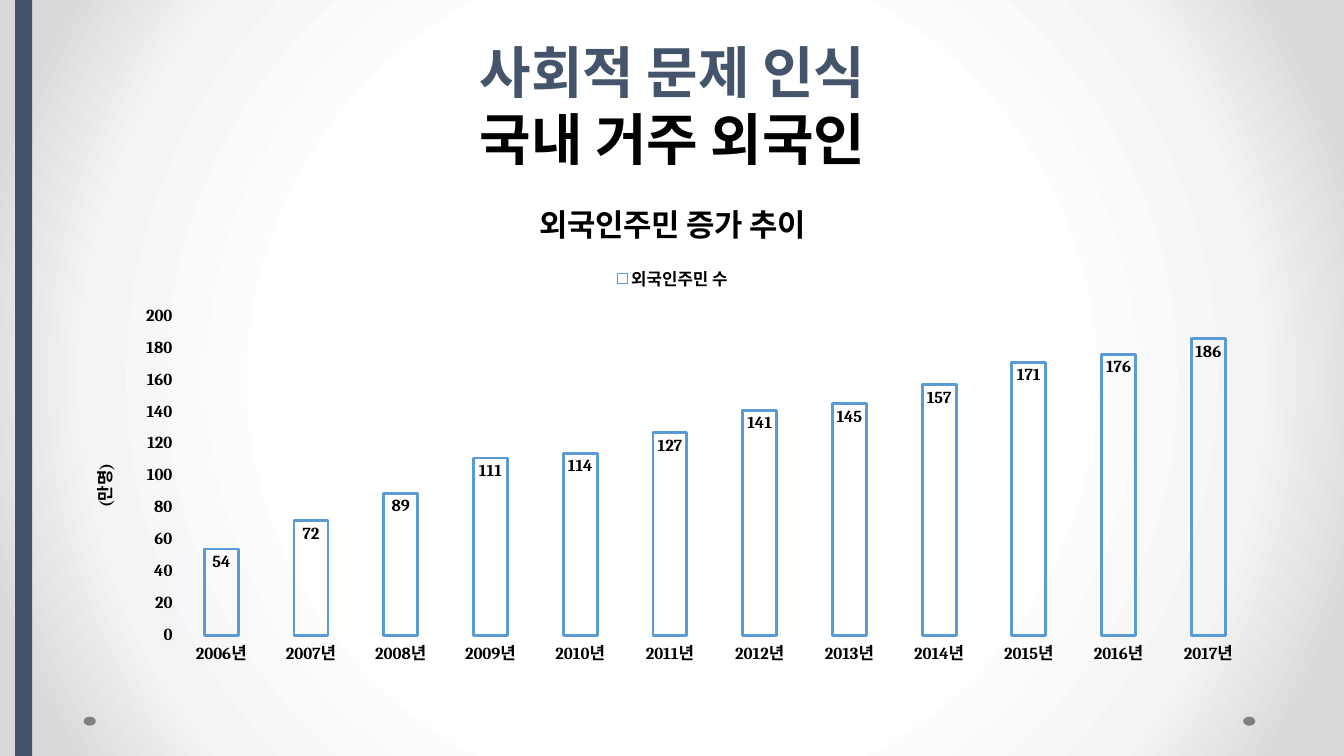
from dataclasses import dataclass

from lxml import etree
from pptx import Presentation
from pptx.chart.data import CategoryChartData
from pptx.dml.color import RGBColor
from pptx.enum.chart import XL_CHART_TYPE, XL_LABEL_POSITION, XL_LEGEND_POSITION, XL_TICK_MARK
from pptx.enum.shapes import MSO_SHAPE
from pptx.enum.text import MSO_ANCHOR, PP_ALIGN
from pptx.oxml import parse_xml
from pptx.oxml.ns import nsdecls, qn
from pptx.util import Inches, Pt

COLUMN = XL_CHART_TYPE.COLUMN_CLUSTERED
INSIDE_END = XL_LABEL_POSITION.INSIDE_END
LEGEND_TOP = XL_LEGEND_POSITION.TOP
NO_TICK = XL_TICK_MARK.NONE
RECTANGLE = MSO_SHAPE.RECTANGLE
OVAL = MSO_SHAPE.OVAL
BOTTOM = MSO_ANCHOR.BOTTOM
CENTER = PP_ALIGN.CENTER


@dataclass(frozen=True)
class Theme:
    navy: str = "44546A"
    black: str = "000000"
    gray: str = "808080"
    blue: str = "5B9BD5"
    backdrop: tuple = ((50, "FFFFFF"), (76, "F4F4F4"), (92, "DADADA"))
    latin: str = "Cambria"
    korean: str = "Noto Sans CJK KR"
    title_size: int = 40
    title_spacing: int = 48
    chart_title_size: int = 22
    label_size: int = 12


def format_font(font, size, color, name, korean):
    font.size = Pt(size)
    font.bold = True
    font.name = name
    font.color.rgb = RGBColor.from_string(color)
    properties = font._element
    for old in properties.findall(qn("a:ea")):
        properties.remove(old)
    east_asian = etree.Element(qn("a:ea"), typeface=korean)
    properties.find(qn("a:latin")).addnext(east_asian)


def write_text(para, text, **style):
    span = para.add_run()
    span.text = text
    format_font(span.font, **style)


class SlideBuilder:
    def __init__(self, page, theme):
        self.page = page
        self.theme = theme

    def style(self, size, color=None, name=None):
        theme = self.theme
        return dict(size=size, color=color or theme.black,
                    name=name or theme.latin, korean=theme.korean)

    def background(self):
        fill = self.page.background.fill
        fill.gradient()
        stops = "".join(
            f'<a:gs pos="{percent * 1000}"><a:srgbClr val="{color}"/></a:gs>'
            for percent, color in self.theme.backdrop)
        gradient = parse_xml(
            f'<a:gradFill {nsdecls("a")} rotWithShape="1"><a:gsLst>{stops}</a:gsLst>'
            '<a:path path="circle"><a:fillToRect l="50000" t="50000" r="50000" b="50000"/>'
            '</a:path></a:gradFill>')
        old = self.page._element.find(".//" + qn("a:gradFill"))
        old.getparent().replace(old, gradient)

    def shape(self, kind, left, top, width, height, color):
        shape = self.page.shapes.add_shape(
            kind, Inches(left), Inches(top), Inches(width), Inches(height))
        shape.shadow.inherit = False
        shape.fill.solid()
        shape.fill.fore_color.rgb = RGBColor.from_string(color)
        shape.line.fill.background()

    def title(self, lines, left, top, width, height):
        theme = self.theme
        box = self.page.shapes.add_textbox(
            Inches(left), Inches(top), Inches(width), Inches(height))
        frame = box.text_frame
        frame.word_wrap = True
        frame.vertical_anchor = BOTTOM
        para = frame.paragraphs[0]
        para.alignment = CENTER
        para.line_spacing = Pt(theme.title_spacing)
        for index, (text, color) in enumerate(lines):
            if index:
                para.add_line_break()
            write_text(para, text, **self.style(theme.title_size, color, theme.korean))

    def chart(self, title, unit, series_name, values, left, top, width, height):
        theme = self.theme
        label_style = self.style(theme.label_size)
        data = CategoryChartData()
        data.categories = list(values)
        data.add_series(series_name, list(values.values()))
        chart = self.page.shapes.add_chart(
            COLUMN, Inches(left), Inches(top), Inches(width), Inches(height), data).chart
        format_font(chart.font, **label_style)

        chart.has_title = True
        write_text(chart.chart_title.text_frame.paragraphs[0], title,
                   **self.style(theme.chart_title_size))
        chart.chart_title.include_in_layout = False
        chart.has_legend = True
        chart.legend.position = LEGEND_TOP
        chart.legend.include_in_layout = False
        format_font(chart.legend.font, **label_style)

        for axis in (chart.category_axis, chart.value_axis):
            axis.has_major_gridlines = False
            axis.major_tick_mark = NO_TICK
            axis.minor_tick_mark = NO_TICK
            axis.format.line.fill.background()
            format_font(axis.tick_labels.font, **label_style)
        value_axis = chart.value_axis
        value_axis.minimum_scale = 0
        value_axis.maximum_scale = 200
        value_axis.major_unit = 20
        value_axis.has_title = True
        write_text(value_axis.axis_title.text_frame.paragraphs[0], unit, **label_style)

        plot = chart.plots[0]
        plot.gap_width = 164
        plot.overlap = -35
        plot.vary_by_categories = False
        series = plot.series[0]
        series.format.fill.background()
        series.format.line.color.rgb = RGBColor.from_string(theme.blue)
        series.format.line.width = Pt(2)
        labels = series.data_labels
        labels.show_value = True
        labels.position = INSIDE_END
        format_font(labels.font, **label_style)
        self.place_plot(chart, x=0.09, y=0.28, w=0.89, h=0.64)

    def place_plot(self, chart, **fractions):
        area = chart._chartSpace.find(".//" + qn("c:plotArea"))
        for old in area.findall(qn("c:layout")):
            area.remove(old)
        sizes = "".join(f'<c:{key} val="{value}"/>' for key, value in fractions.items())
        area.insert(0, parse_xml(
            f'<c:layout {nsdecls("c")}><c:manualLayout><c:layoutTarget val="inner"/>'
            f'<c:xMode val="edge"/><c:yMode val="edge"/>{sizes}'
            '</c:manualLayout></c:layout>'))


def main():
    theme = Theme()
    deck = Presentation()
    deck.slide_width = Inches(13.33)
    deck.slide_height = Inches(7.5)
    builder = SlideBuilder(deck.slides.add_slide(deck.slide_layouts[6]), theme)

    builder.background()
    for left in (12.33, 0.83):
        builder.shape(OVAL, left, 7.11, 0.12, 0.09, theme.gray)
    builder.shape(RECTANGLE, 0.15, 0, 0.17, 7.5, theme.navy)
    builder.title([("사회적 문제 인식", theme.navy), ("국내 거주 외국인", theme.black)],
                  0.67, 0, 12, 1.75)

    residents = (54, 72, 89, 111, 114, 127, 141, 145, 157, 171, 176, 186)
    by_year = {f"{year}년": count for year, count in enumerate(residents, 2006)}
    builder.chart("외국인주민 증가 추이", "(만명)", "외국인주민 수", by_year,
                  0.67, 1.75, 12, 4.95)
    deck.save("out.pptx")


if __name__ == "__main__":
    main()
